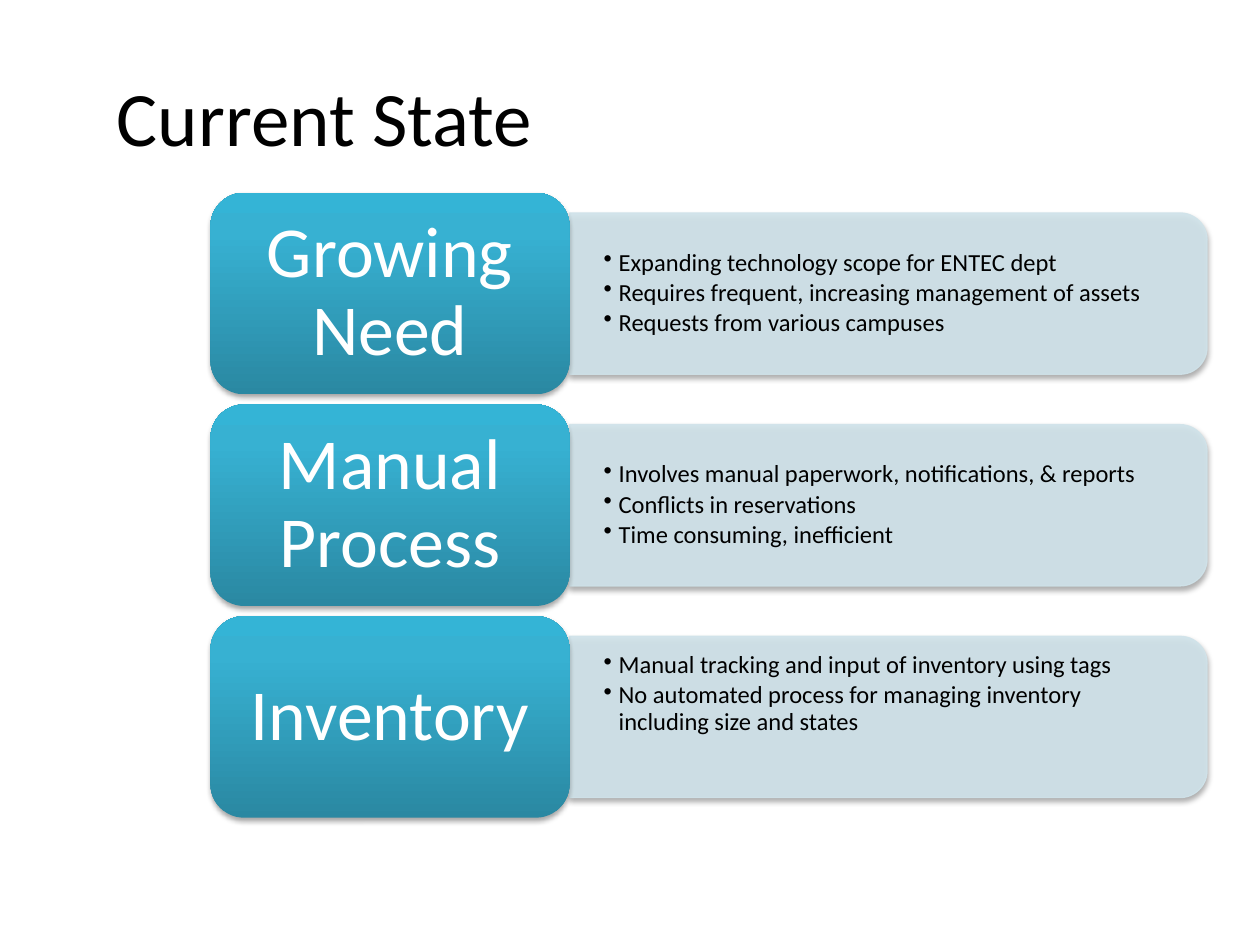
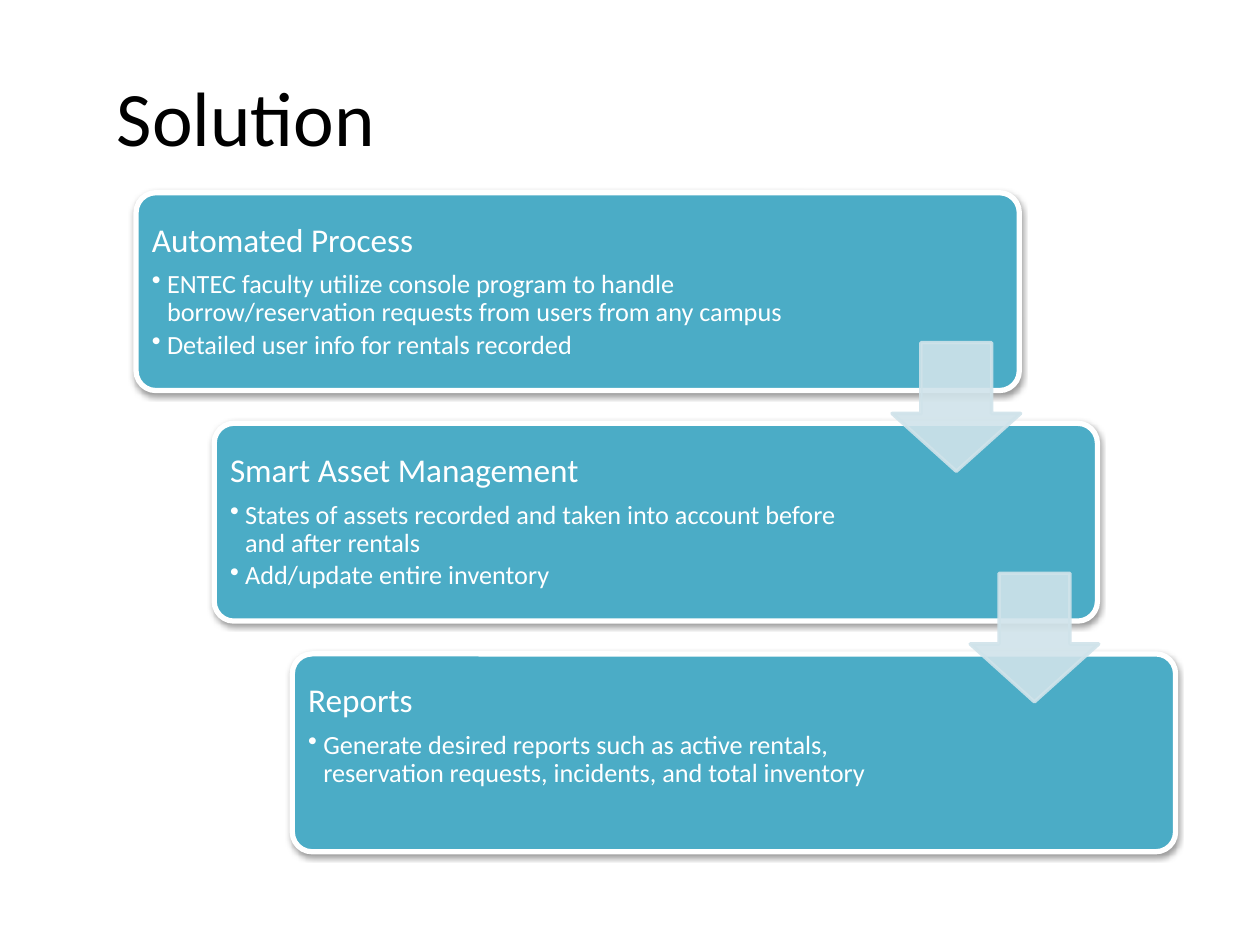
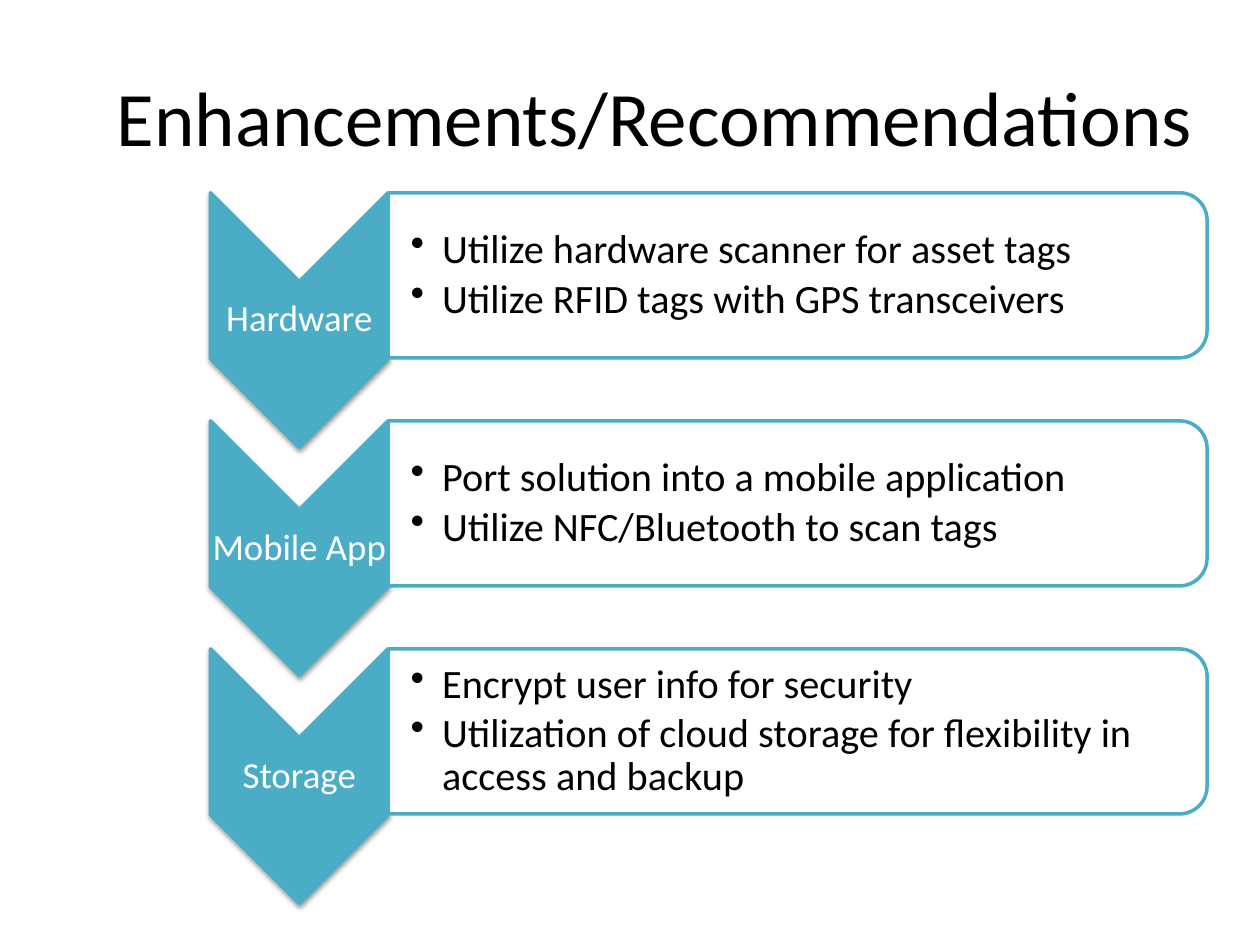
from copy import deepcopy
from lxml.etree import SubElement
from pptx import Presentation
from pptx.dml.color import RGBColor
from pptx.enum.shapes import MSO_SHAPE as Shape
from pptx.enum.text import MSO_ANCHOR as Anchor, PP_ALIGN as Align
from pptx.oxml.ns import qn
from pptx.util import Inches, Pt

FONT = "Calibri"
BLACK, WHITE, TEAL, PALE = "000000", "FFFFFF", "4BACC6", "D0E3EA"
GRADIENT = [(0, "2A88A2"), (0.8, "37B1D2"), (1, "34B4D6")]
TOP = 1.53      # upper edge of every diagram
LEFT = 1.67     # left edge of the row diagrams
RIGHT = 9.58    # right edge of the row diagrams

# heading, bullets, upward shift of the text in inches
CURRENT_STATE = [
    ("Growing Need", ["Expanding technology scope for ENTEC dept",
                      "Requires frequent, increasing management of assets",
                      "Requests from various campuses"], 0),
    ("Manual Process", ["Involves manual paperwork, notifications, & reports",
                        "Conflicts in reservations",
                        "Time consuming, inefficient"], 0),
    ("Inventory", ["Manual tracking and input of inventory using tags",
                   "No automated process for managing inventory including size and states"], 0.18),
]
SOLUTION = [
    ("Automated Process", ["ENTEC faculty utilize console program to handle "
                           "borrow/reservation requests from users from any campus",
                           "Detailed user info for rentals recorded"], 0),
    ("Smart Asset Management", ["States of assets recorded and taken into account "
                                "before and after rentals",
                                "Add/update entire inventory"], 0),
    ("Reports", ["Generate desired reports such as active rentals, "
                 "reservation requests, incidents, and total inventory"], 0.13),
]
ENHANCEMENTS = [
    ("Hardware", ["Utilize hardware scanner for asset tags",
                  "Utilize RFID tags with GPS transceivers"]),
    ("Mobile App", ["Port solution into a mobile application",
                    "Utilize NFC/Bluetooth to scan tags"]),
    ("Storage", ["Encrypt user info for security",
                 "Utilization of cloud storage for flexibility in access and backup"]),
]


def rgb(color):
    return RGBColor.from_string(color)


def set_alpha(properties, percent):
    """Make every plain colour below the given element partly transparent."""
    for color in properties.iter(qn("a:srgbClr")):
        SubElement(color, qn("a:alpha"), val=str(percent * 1000))


def add_shadow(shape, alpha, distance):
    effects = shape._element.spPr.find(qn("a:effectLst"))
    shadow = SubElement(effects, qn("a:outerShdw"), blurRad=str(Pt(3.1)),
                        dist=str(Pt(distance)), dir="5400000", rotWithShape="0")
    color = SubElement(shadow, qn("a:srgbClr"), val=BLACK)
    SubElement(color, qn("a:alpha"), val=str(alpha * 1000))


def fill_gradient(shape):
    shape.fill.gradient()
    shape.fill.gradient_angle = 90
    stop_list = shape._element.spPr.find(qn("a:gradFill")).find(qn("a:gsLst"))
    stop_list.append(deepcopy(stop_list[-1]))
    for stop, (position, color) in zip(shape.fill.gradient_stops, GRADIENT):
        stop.position = position
        stop.color.rgb = rgb(color)


def add_box(slide, kind, left, top, width, height, fill=None, line=None, line_width=1,
            alpha=None, shadow=None, adjust=(), turned=False):
    """Add a preset shape; a turned one is rotated 90 degrees and still fills the given area."""
    if turned:
        left, top = left + (width - height) / 2, top + (height - width) / 2
        width, height = height, width
    shape = slide.shapes.add_shape(kind, *map(Inches, (left, top, width, height)))
    shape.rotation = 90 if turned else 0
    for index, value in enumerate(adjust):
        shape.adjustments[index] = value
    shape.shadow.inherit = False
    if fill:
        shape.fill.solid()
        shape.fill.fore_color.rgb = rgb(fill)
    else:
        fill_gradient(shape)
    if line:
        shape.line.color.rgb = rgb(line)
        shape.line.width = Pt(line_width)
    else:
        shape.line.fill.background()
    if alpha:
        set_alpha(shape._element.spPr, alpha)
    if shadow:
        add_shadow(shape, *shadow)
    return shape


def add_text_box(slide, left, top, width, height):
    return slide.shapes.add_textbox(*map(Inches, (left, top, width, height)))


def prepare_frame(shape, insets=(0.1, 0.05, 0.1, 0.05)):
    frame = shape.text_frame
    frame.word_wrap = True
    frame.vertical_anchor = Anchor.MIDDLE
    (frame.margin_left, frame.margin_top,
     frame.margin_right, frame.margin_bottom) = map(Inches, insets)
    return frame


def write(frame, text, size, color=BLACK, align=Align.LEFT, spacing=0.9, after=0.35, indent=0):
    """Append a paragraph; after is a share of the text size, indent makes it a bullet."""
    first = frame.paragraphs[0]
    para = frame.add_paragraph() if first.runs else first
    para.alignment = align
    para.line_spacing = spacing
    para.space_after = Pt(size * after)
    span = para.add_run()
    span.text = text
    span.font.name, span.font.size = FONT, Pt(size)
    span.font.color.rgb = rgb(color)
    if indent:
        properties = para._p.get_or_add_pPr()
        properties.set("marL", str(Inches(indent)))
        properties.set("indent", str(-Inches(indent)))
        SubElement(properties, qn("a:buChar"), char="•")


def write_bullets(frame, bullets, size, indent, color=BLACK):
    for bullet in bullets:
        write(frame, bullet, size, color, after=0.15, indent=indent)


def add_titled_slide(deck, title):
    slide = deck.slides.add_slide(deck.slide_layouts[6])
    box = add_text_box(slide, 0.83, 0.29, 8.83, 1.25)
    write(prepare_frame(box), title, 44, spacing=1, after=0)
    return slide


def draw_current_state(slide):
    width, height, pitch, panel_height = 2.85, 1.6, 1.68, 1.28
    shadow = (35, 1.8)
    for row, (heading, bullets, lift) in enumerate(CURRENT_STATE):
        top, panel_left = TOP + row * pitch, LEFT + width
        panel_top = top + (height - panel_height) / 2
        add_box(slide, Shape.ROUND_2_SAME_RECTANGLE, panel_left, panel_top,
                RIGHT - panel_left, panel_height, PALE, PALE, 0.75,
                alpha=90, shadow=shadow, turned=True)
        box = add_text_box(slide, panel_left, panel_top + 0.06 - lift, 5, panel_height - 0.12)
        write_bullets(prepare_frame(box, (0.27, 0.14, 0.27, 0.14)), bullets, 14, 0.12)
        card = add_box(slide, Shape.ROUNDED_RECTANGLE, LEFT, top, width, height, shadow=shadow)
        write(prepare_frame(card, (0.17, 0.09, 0.17, 0.09)), heading, 41, WHITE, Align.CENTER)


def draw_solution(slide):
    left, width, height, step_x, step_y, arrow = 1.08, 7.01, 1.57, 0.62, 1.83, 1.02
    corners = [(left + step * step_x, TOP + step * step_y) for step in range(len(SOLUTION))]
    for (x, y), (heading, bullets, lift) in zip(corners, SOLUTION):
        card = add_box(slide, Shape.ROUNDED_RECTANGLE, x, y, width, height, TEAL, WHITE, 3,
                       shadow=(38, 1.6), adjust=(0.1,))
        frame = prepare_frame(card, (0.08, 0.08, 1.71, 0.08 + 2 * lift))
        write(frame, heading, 19, WHITE)
        write_bullets(frame, bullets, 15, 0.12, WHITE)
    for x, y in corners[:-1]:
        add_box(slide, Shape.DOWN_ARROW, x + 6, y + 1.19, arrow, arrow, PALE, PALE, 2,
                alpha=90, adjust=(0.55, 0.45))


def draw_enhancements(slide):
    width, height, pitch, panel_height = 1.41, 2.02, 1.81, 1.31
    panel_left = LEFT + width
    for row, (heading, bullets) in enumerate(ENHANCEMENTS):
        top = TOP + row * pitch
        add_box(slide, Shape.CHEVRON, LEFT, top, width, height, TEAL, TEAL, 2,
                shadow=(38, 1.6), turned=True)
        label = add_text_box(slide, LEFT, top + width / 2, width, height - width)
        write(prepare_frame(label, (0.01,) * 4), heading, 21, WHITE, Align.CENTER)
        panel = add_box(slide, Shape.ROUND_2_SAME_RECTANGLE, panel_left, top,
                        RIGHT - panel_left, panel_height, WHITE, TEAL, 2, turned=True)
        set_alpha(panel._element.spPr.find(qn("a:solidFill")), 90)
        box = add_text_box(slide, panel_left, top + 0.06, 6.44, panel_height - 0.12)
        write_bullets(prepare_frame(box, (0.18, 0.02, 0.02, 0.02)), bullets, 23, 0.25)


def main():
    deck = Presentation()
    deck.slide_width, deck.slide_height = Inches(10), Inches(7.5)
    for title, draw in [("Current State", draw_current_state),
                        ("Solution", draw_solution),
                        ("Enhancements/Recommendations", draw_enhancements)]:
        draw(add_titled_slide(deck, title))
    deck.save("out.pptx")


if __name__ == "__main__":
    main()
